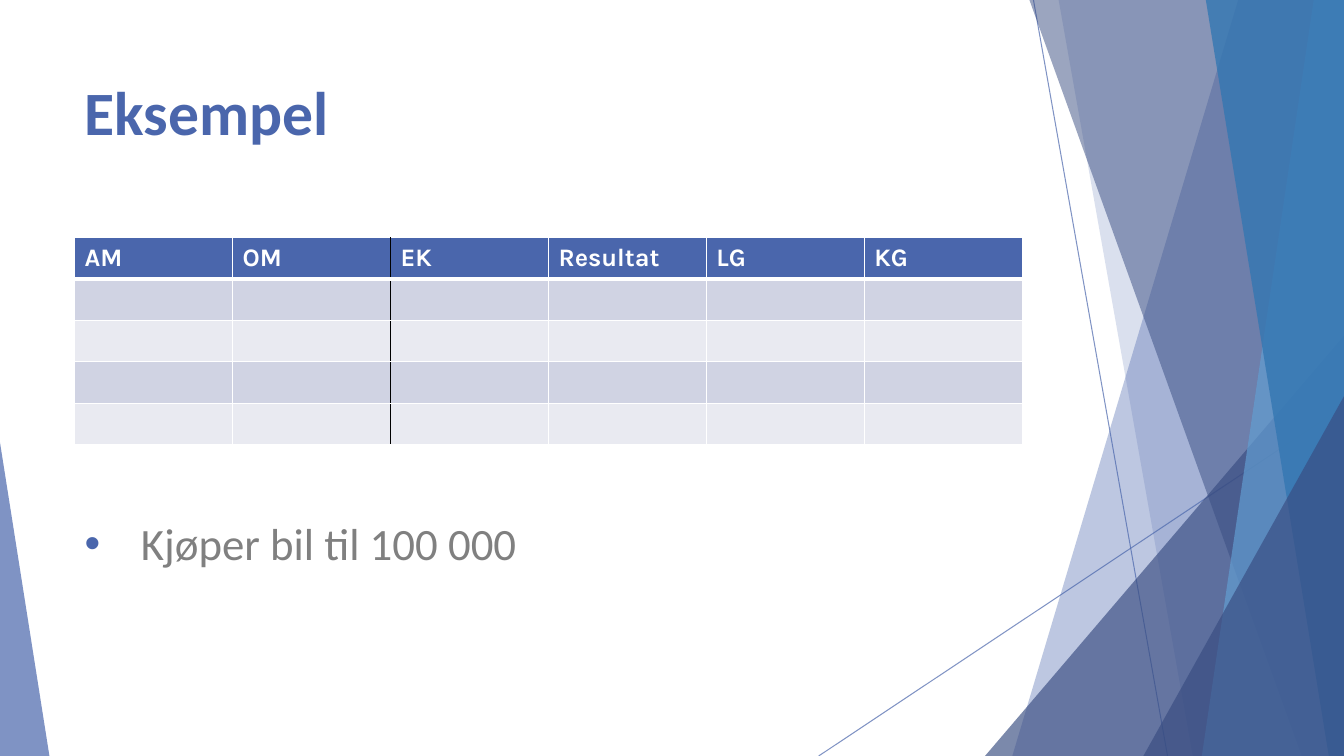
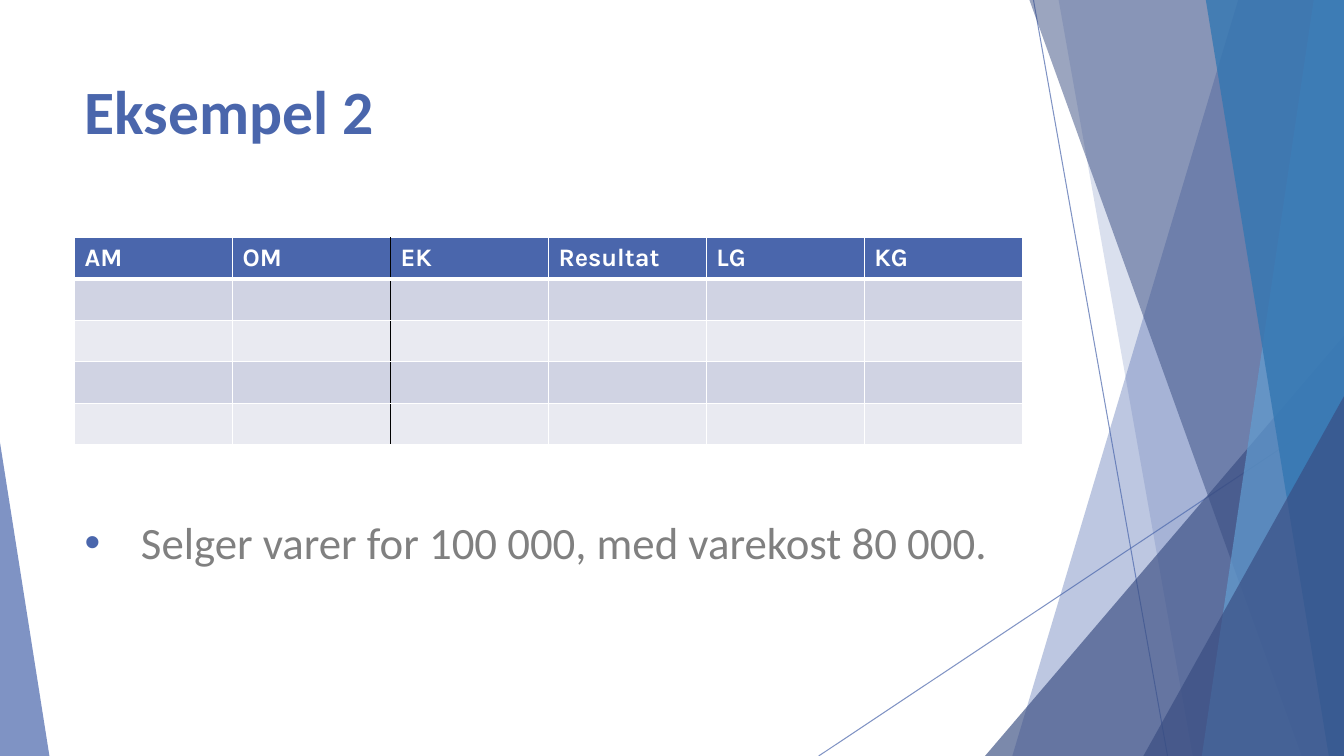
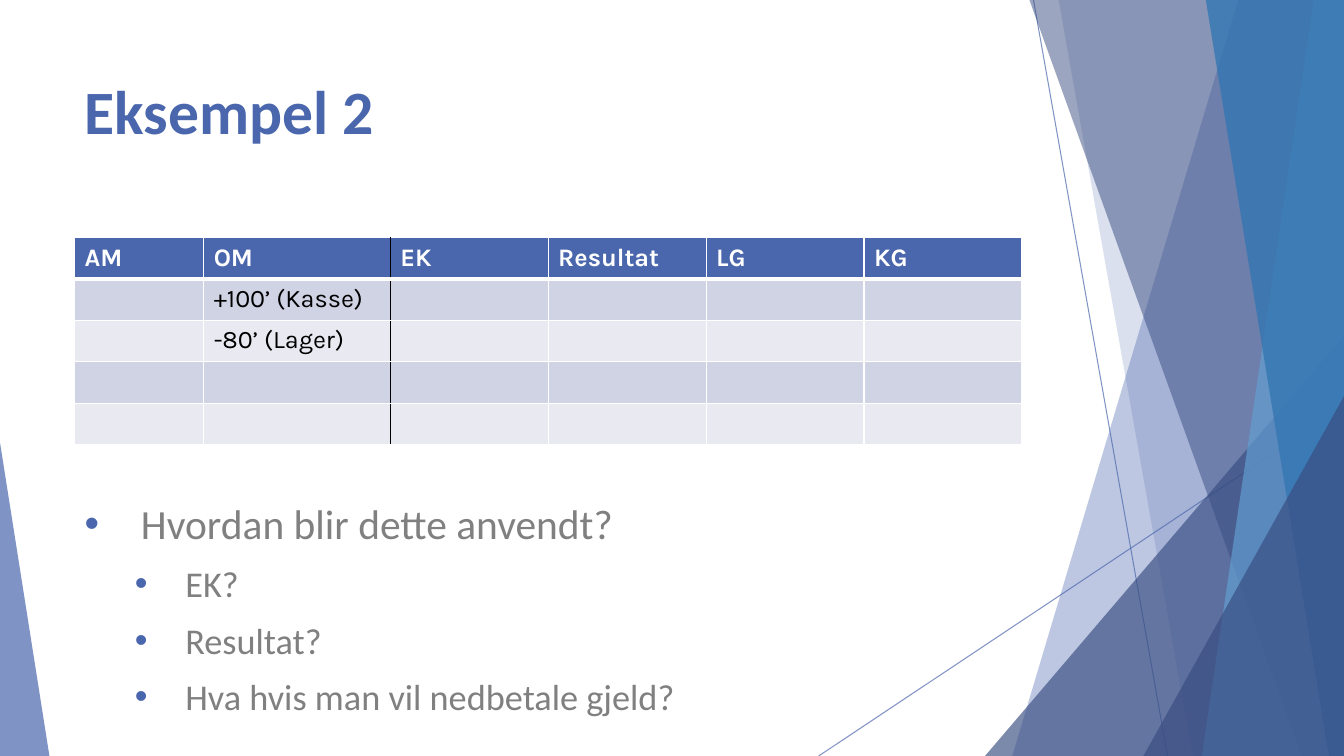
from dataclasses import dataclass

from lxml.etree import SubElement
from pptx import Presentation
from pptx.dml.color import RGBColor
from pptx.enum.shapes import MSO_CONNECTOR as CONN, MSO_SHAPE as SHAPE
from pptx.enum.text import MSO_ANCHOR as ANCHOR
from pptx.oxml.ns import qn
from pptx.util import Inches, Pt

WIDTH, HEIGHT = 13.33, 7.5
LEFT, CONTENT_WIDTH = 0.74, 9.4
TABLE_TOP, ROW_HEIGHT, ROW_COUNT = 2.36, 0.41, 5
BLUE, NAVY, SKY, OCEAN = "4A66AC", "384C81", "629DD1", "3477B2"
WHITE, BLACK, GRAY = "FFFFFF", "000000", "808080"
ROW_FILLS = ("E9EAF1", "D0D3E3")
BODY_FONT, TABLE_FONT = "Calibri", "Karla"
HEADERS = ("AM", "OM", "EK", "Resultat", "LG", "KG")
DIVIDER_COL = 2
EVEN_COLS = (CONTENT_WIDTH / 6,) * 6
WIDE_OM_COLS = (1.28, 1.85) + EVEN_COLS[2:]


@dataclass(frozen=True)
class Ray:
    x1: float
    y1: float
    x2: float
    y2: float


@dataclass(frozen=True)
class Band:
    top_x: float
    bottom_x: float
    color: str
    alpha: int


@dataclass(frozen=True)
class Wedge:
    left: float
    top: float
    width: float
    apex: float
    color: str
    alpha: int


@dataclass(frozen=True)
class Bullet:
    text: str
    size: float
    level: int = 0


@dataclass(frozen=True)
class Example:
    title: str
    title_top: float
    body_top: float
    bullets: tuple[Bullet, ...]
    col_widths: tuple[float, ...] = EVEN_COLS
    entries: tuple[str, ...] = ()
    spacing: float = 10


RAYS = (Ray(10.25, 0, 11.58, HEIGHT), Ray(WIDTH, 4.03, 8.12, HEIGHT))
FACETS = (
    Band(12.28, 10.04, BLUE, 36),
    Band(10.5, 11.83, BLUE, 20),
    Wedge(9.77, 3.33, 3.56, 1, NAVY, 66),
    Band(10.21, 12.91, NAVY, 50),
    Band(13.03, 11.92, SKY, 70),
    Band(11.96, 13.18, OCEAN, 80),
    Wedge(11.34, 3.93, 1.99, 1, NAVY, 66),
    Wedge(0, 4.39, 0.49, 0, BLUE, 70),
)
INDENTS = ((0.56, -0.56), (1, -0.5))
EXAMPLES = (
    Example("Eksempel", 0.68, 5.07, (Bullet("Kjøper bil til 100 000", 32),)),
    Example("Eksempel 2", 0.67, 5.06,
            (Bullet("Selger varer for 100 000, med varekost 80 000.", 32),)),
    Example("Eksempel 2", 0.67, 4.89,
            (Bullet("Hvordan blir dette anvendt?", 29.6),
             Bullet("EK?", 25.9, 1),
             Bullet("Resultat?", 25.9, 1),
             Bullet("Hva hvis man vil nedbetale gjeld?", 25.9, 1)),
            WIDE_OM_COLS, ("+100’ (Kasse)", "-80’ (Lager)"), 9.5),
)


def rgb(color: str) -> RGBColor:
    return RGBColor.from_string(color)


def set_alpha(sp, percent: int) -> None:
    for clr in sp._element.spPr.iter(qn("a:srgbClr")):
        SubElement(clr, qn("a:alpha"), val=str(percent * 1000))


def add_text(p, text: str, *, size: float, color: str,
             font: str = BODY_FONT, bold: bool = False) -> None:
    r = p.add_run()
    r.text = text
    r.font.name, r.font.size, r.font.bold = font, Pt(size), bold
    r.font.color.rgb = rgb(color)


def add_box(slide, top: float, height: float):
    sp = slide.shapes.add_textbox(Inches(LEFT), Inches(top),
                                  Inches(CONTENT_WIDTH), Inches(height))
    tf = sp.text_frame
    tf.word_wrap = True
    tf.vertical_anchor = ANCHOR.TOP
    return tf


def draw_ray(slide, ray: Ray) -> None:
    sp = slide.shapes.add_connector(CONN.STRAIGHT, Inches(ray.x1), Inches(ray.y1),
                                    Inches(ray.x2), Inches(ray.y2))
    sp.line.color.rgb = rgb(BLUE)
    sp.line.width = Pt(0.75)
    set_alpha(sp, 70)
    SubElement(sp._element.spPr, qn("a:effectLst"))


def draw_facet(slide, facet: Band | Wedge) -> None:
    if isinstance(facet, Band):
        outline = slide.shapes.build_freeform(Inches(facet.top_x), 0)
        corners = ((WIDTH, 0), (WIDTH, HEIGHT), (facet.bottom_x, HEIGHT))
        outline.add_line_segments([(Inches(x), Inches(y)) for x, y in corners])
        sp = outline.convert_to_shape()
    else:
        sp = slide.shapes.add_shape(
            SHAPE.ISOSCELES_TRIANGLE, Inches(facet.left), Inches(facet.top),
            Inches(facet.width), Inches(HEIGHT - facet.top))
        sp.adjustments[0] = facet.apex
    sp.shadow.inherit = False
    sp.fill.solid()
    sp.fill.fore_color.rgb = rgb(facet.color)
    set_alpha(sp, facet.alpha)
    sp.line.fill.background()


def draw_backdrop(slide) -> None:
    for ray in RAYS:
        draw_ray(slide, ray)
    for facet in FACETS:
        draw_facet(slide, facet)


def set_border(cell, side: str, color: str, width: float) -> None:
    ln = SubElement(cell._tc.get_or_add_tcPr(), qn(f"a:ln{side}"), w=str(Pt(width)))
    fill = SubElement(ln, qn("a:solidFill"))
    SubElement(fill, qn("a:srgbClr"), val=color)


def style_cell(cell, row: int, col: int) -> None:
    set_border(cell, "L", BLACK if col == DIVIDER_COL else WHITE, 1)
    set_border(cell, "R", BLACK if col == DIVIDER_COL - 1 else WHITE, 1)
    set_border(cell, "T", WHITE, 3 if row == 1 else 1)
    set_border(cell, "B", WHITE, 3 if row == 0 else 1)
    cell.fill.solid()
    cell.fill.fore_color.rgb = rgb(ROW_FILLS[row % 2] if row else BLUE)


def draw_table(slide, example: Example) -> None:
    table = slide.shapes.add_table(
        ROW_COUNT, len(HEADERS), Inches(LEFT), Inches(TABLE_TOP),
        Inches(CONTENT_WIDTH), Inches(ROW_HEIGHT * ROW_COUNT)).table
    for col, width in zip(table.columns, example.col_widths):
        col.width = Inches(width)
    for r, row in enumerate(table.rows):
        row.height = Inches(ROW_HEIGHT)
        for c, cell in enumerate(row.cells):
            style_cell(cell, r, c)
    for c, header in enumerate(HEADERS):
        add_text(table.cell(0, c).text_frame.paragraphs[0], header,
                 size=18, color=WHITE, font=TABLE_FONT, bold=True)
    for r, entry in enumerate(example.entries, 1):
        add_text(table.cell(r, 1).text_frame.paragraphs[0], entry,
                 size=18, color=BLACK, font=TABLE_FONT)


def set_bullet(p, level: int) -> None:
    margin, indent = INDENTS[level]
    p.level = level
    pPr = p._p.get_or_add_pPr()
    pPr.set("marL", str(Inches(margin)))
    pPr.set("indent", str(Inches(indent)))
    SubElement(SubElement(pPr, qn("a:buClr")), qn("a:srgbClr"), val=BLUE)
    SubElement(pPr, qn("a:buFont"), typeface="Arial")
    SubElement(pPr, qn("a:buChar"), char="•")


def draw_bullets(slide, example: Example) -> None:
    tf = add_box(slide, example.body_top, 6.6 - example.body_top)
    for i, bullet in enumerate(example.bullets):
        p = tf.add_paragraph() if i else tf.paragraphs[0]
        if i:
            p.space_before = Pt(example.spacing)
        set_bullet(p, bullet.level)
        add_text(p, bullet.text, size=bullet.size, color=GRAY)


def draw_example(slide, example: Example) -> None:
    draw_backdrop(slide)
    title = add_box(slide, example.title_top, 1.44)
    add_text(title.paragraphs[0], example.title, size=44, color=BLUE, bold=True)
    draw_table(slide, example)
    draw_bullets(slide, example)


def main() -> None:
    prs = Presentation()
    prs.slide_width, prs.slide_height = Inches(WIDTH), Inches(HEIGHT)
    for example in EXAMPLES:
        draw_example(prs.slides.add_slide(prs.slide_layouts[6]), example)
    prs.save("out.pptx")


if __name__ == "__main__":
    main()
